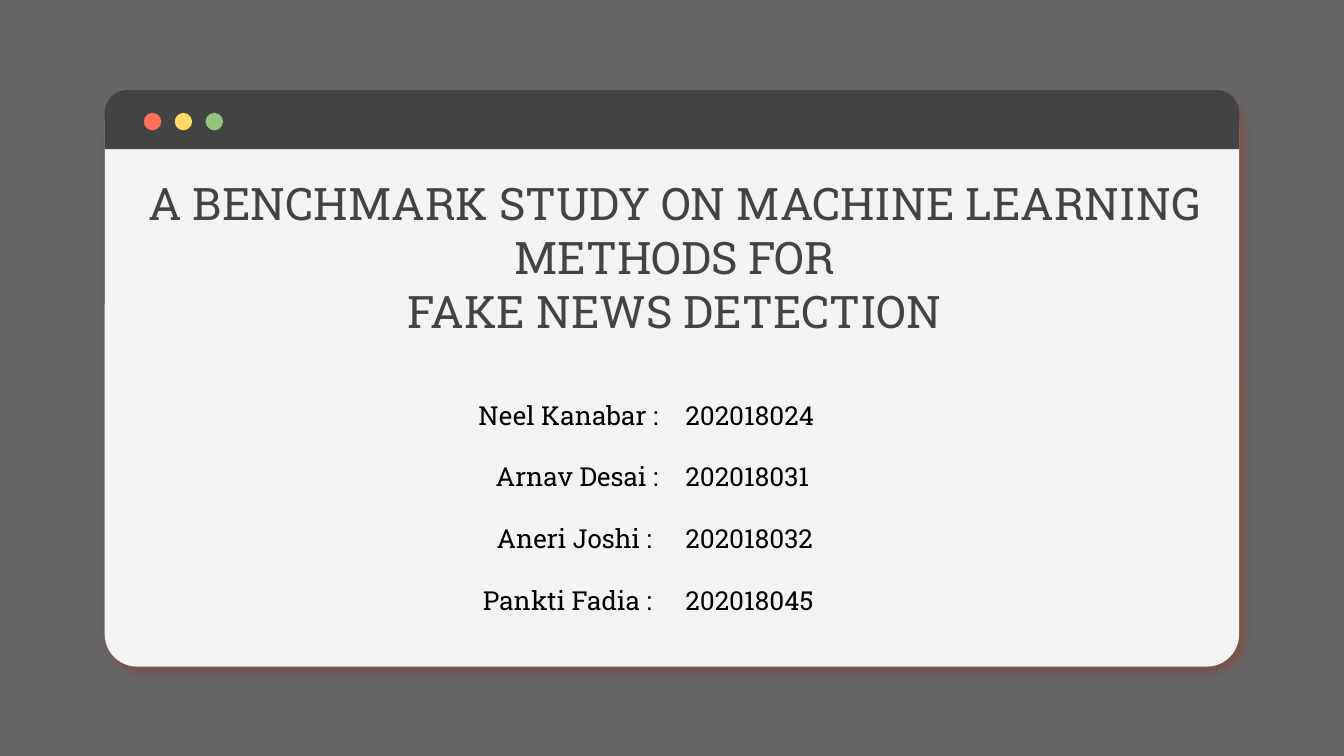
import pptx
import pptx.util
from pptx.dml.color import RGBColor
from pptx.enum.shapes import MSO_SHAPE
from pptx.enum.text import MSO_ANCHOR, MSO_AUTO_SIZE, PP_ALIGN
from pptx.oxml import parse_xml
from pptx.oxml.ns import nsdecls, qn
from pptx.util import Inches

TITLE = [
    "A BENCHMARK STUDY ON MACHINE LEARNING METHODS FOR",
    "FAKE NEWS DETECTION",
]
TEAM = [
    ("Neel Kanabar :", "202018024"),
    ("Arnav Desai :", "202018031"),
    ("Aneri Joshi : ", "202018032"),
    ("Pankti Fadia : ", "202018045"),
]
DOTS = ["FF7058", "FFD966", "93C47D"]
FONT = "Roboto Slab"
DARK = "434343"
LEFT, WIDTH = 0.78, 8.44


def paint(fill, color):
    fill.solid()
    fill.fore_color.rgb = RGBColor.from_string(color)


def add_form(kind, box, color):
    form = slide.shapes.add_shape(kind, *map(Inches, box))
    form.shadow.inherit = False
    paint(form.fill, color)
    form.line.fill.background()
    return form


def style(para, size, color, align):
    para.font.name = FONT
    para.font.size = pptx.util.Pt(size)
    para.font.bold = False
    para.font.color.rgb = RGBColor.from_string(color)
    para.alignment = align


def add_glow(form):
    """Give the form a soft red drop shadow."""
    form._element.spPr.find(qn("a:effectLst")).append(parse_xml(
        f'<a:outerShdw {nsdecls("a")} blurRad="57150" dist="48260" '
        'dir="2940000" algn="bl" rotWithShape="0"><a:srgbClr val="963A2A">'
        '<a:alpha val="47000"/></a:srgbClr></a:outerShdw>'))


def clear_cell(cell):
    """Remove the fill and all borders."""
    cell.fill.background()
    props = cell._tc.get_or_add_tcPr()
    for spot, side in enumerate("LRTB"):
        props.insert(spot, parse_xml(
            f'<a:ln{side} {nsdecls("a")}><a:noFill/></a:ln{side}>'))


deck = pptx.Presentation()
deck.slide_width = Inches(10)
deck.slide_height = deck.slide_width * 9 // 16
slide = deck.slides.add_slide(deck.slide_layouts[0])
paint(slide.background.fill, "666666")
sub = slide.placeholders[1]._element
sub.getparent().remove(sub)

# Window frame
panel = add_form(MSO_SHAPE.ROUNDED_RECTANGLE, (LEFT, 0.68, WIDTH, 4.28), "F3F3F3")
panel.adjustments[0] = 0.056
add_glow(panel)
bar = add_form(MSO_SHAPE.ROUND_2_SAME_RECTANGLE, (LEFT, 0.67, WIDTH, 0.44), DARK)
bar.adjustments[0] = 0.383
bar.adjustments[1] = 0
for i, color in enumerate(DOTS):
    add_form(MSO_SHAPE.OVAL, (1.07 + 0.23 * i, 0.84, 0.13, 0.13), color)

# Title, brought in front of the panel
title = slide.shapes.title
slide.shapes._spTree.append(title._element)
title.left, title.top = Inches(0.84), Inches(1.31)
title.width, title.height = Inches(8.36), Inches(1.52)
frame = title.text_frame
frame.text = "\n".join(TITLE)
frame.word_wrap = True
frame.auto_size = MSO_AUTO_SIZE.NONE
frame.vertical_anchor = MSO_ANCHOR.TOP
frame.margin_top = 0
for para in frame.paragraphs:
    style(para, 24, DARK, PP_ALIGN.CENTER)
    para.line_spacing = 1.0

# Team table
grid = slide.shapes.add_table(
    len(TEAM), 2, Inches(1.04), Inches(2.86), Inches(7.92), Inches(1.76)).table
grid.first_row = grid.horz_banding = False
for r, row in enumerate(TEAM):
    for c, text in enumerate(row):
        cell = grid.cell(r, c)
        cell.text = text
        cell.margin_left = cell.margin_right = Inches(0.1)
        cell.margin_top = cell.margin_bottom = Inches(0.1)
        clear_cell(cell)
        style(cell.text_frame.paragraphs[0], 14, "000000",
              (PP_ALIGN.RIGHT, PP_ALIGN.LEFT)[c])

deck.save("out.pptx")
